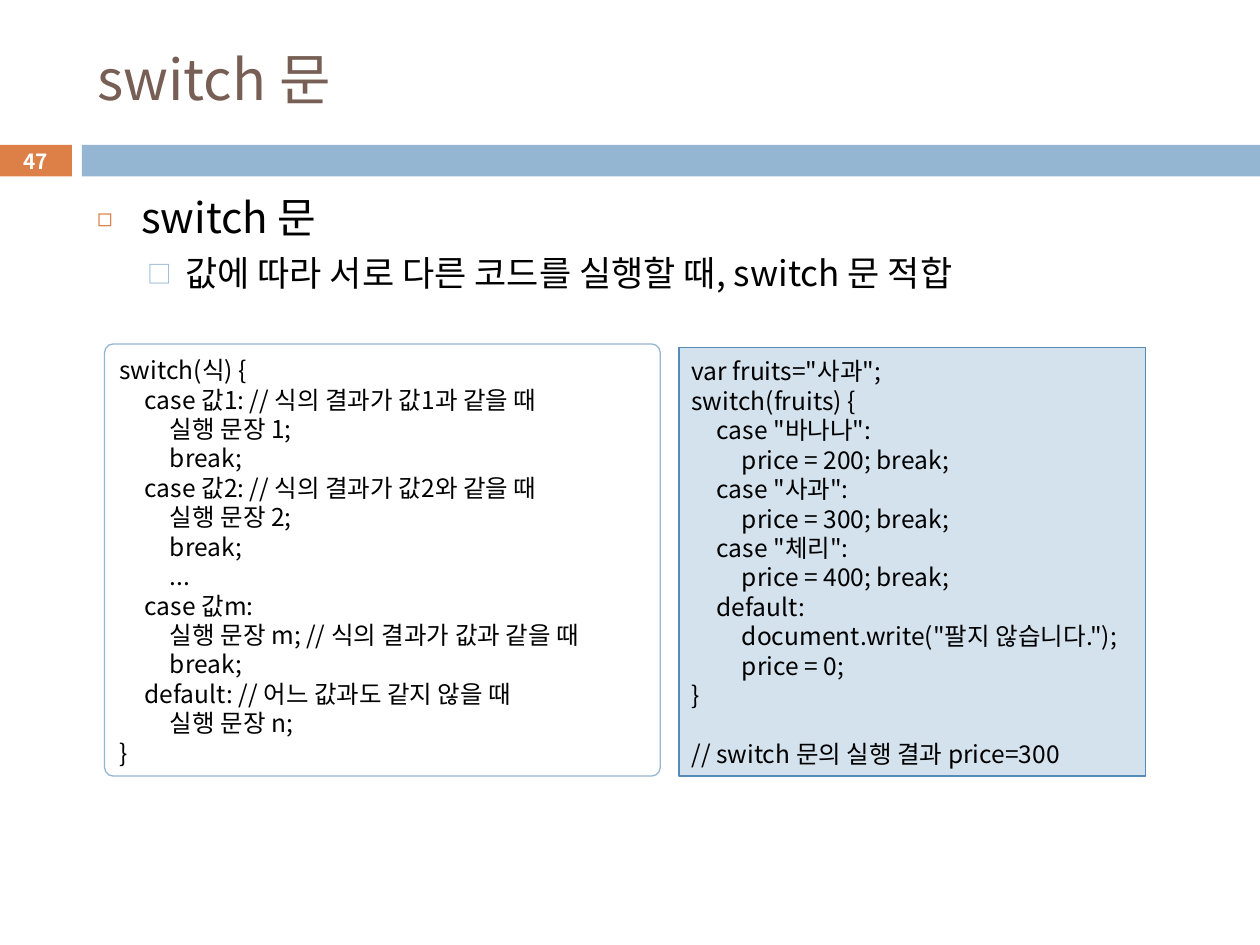
from lxml.etree import SubElement
from pptx import Presentation
from pptx.dml.color import RGBColor
from pptx.enum.shapes import MSO_SHAPE as Shape
from pptx.enum.text import MSO_ANCHOR as Anchor, MSO_AUTO_SIZE as AutoSize, PP_ALIGN as Align
from pptx.oxml.ns import qn
from pptx.util import Pt

FONT = "Noto Sans CJK KR"
BLACK = RGBColor(0x00, 0x00, 0x00)
WHITE = RGBColor(0xFF, 0xFF, 0xFF)
BROWN = RGBColor(0x77, 0x5F, 0x55)
ORANGE = RGBColor(0xDD, 0x80, 0x47)
BLUE = RGBColor(0x94, 0xB6, 0xD2)
PALE_BLUE = RGBColor(0xD4, 0xE2, 0xED)
DARK_BLUE = RGBColor(0x55, 0x8B, 0xB8)

LINE_HEIGHT = 1.2  # line pitch relative to the text size
TAB = 14.4

# Boxes: left, top, width, height in points
TITLE_BOX = (48.24, 18, 642.24, 53.28)
NUMBER_BOX = (-0.72, 82.8, 41.76, 18)
BAND_BOX = (46.8, 82.8, 673.2, 18)
BODY_BOX = (48.24, 105.84, 642.24, 396.72)
SYNTAX_BOX = (59.76, 196.56, 317.52, 246.96)
EXAMPLE_BOX = (388.08, 198.72, 266.4, 244.8)

# Body items: text, size, indent, hanging, space before, bullet, colour, percent
BODY_ITEMS = [
    ("switch 문", 24, 25.2, 25.2, 7, "◻", ORANGE, 60),
    ("값에 따라 서로 다른 코드를 실행할 때, switch 문 적합", 20, 50.4, 21.6, 5.5, "□", BLUE, 70),
]

SYNTAX_CODE = """switch(식) {
\tcase 값1: // 식의 결과가 값1과 같을 때
\t\t실행 문장 1;
\t\tbreak;
\tcase 값2: // 식의 결과가 값2와 같을 때
\t\t실행 문장 2;
\t\tbreak;
\t\t...
\tcase 값m:
\t\t실행 문장 m; // 식의 결과가 값과 같을 때
\t\tbreak;
\tdefault: // 어느 값과도 같지 않을 때
\t\t실행 문장 n;
}"""

EXAMPLE_CODE = """var fruits="사과";
switch(fruits) {
\tcase "바나나":
\t\tprice = 200; break;
\tcase "사과":
\t\tprice = 300; break;
\tcase "체리":
\t\tprice = 400; break;
\tdefault:
\t\tdocument.write("팔지 않습니다.");
\t\tprice = 0;
}
// switch 문의 실행 결과 price=300"""


def place(part, box):
    part.left, part.top, part.width, part.height = map(Pt, box)


def set_font(paragraph, size, color, bold=False):
    font = paragraph.font
    font.name, font.size, font.bold = FONT, Pt(size), bold
    font.color.rgb = color
    # Korean glyphs take the East Asian typeface
    SubElement(paragraph._p.pPr.find(qn("a:defRPr")), qn("a:ea"), typeface=FONT)


def set_bullet(paragraph, char, color, percent, indent, hanging):
    props = paragraph._p.get_or_add_pPr()
    props.set("marL", str(Pt(indent)))
    props.set("indent", str(-Pt(hanging)))
    bullet_color = SubElement(props, qn("a:buClr"))
    SubElement(bullet_color, qn("a:srgbClr"), val=str(color))
    SubElement(props, qn("a:buSzPct"), val=str(percent * 1000))
    SubElement(props, qn("a:buFont"), typeface=FONT)
    SubElement(props, qn("a:buChar"), char=char)


def set_tabs(paragraph):
    tabs = SubElement(paragraph._p.get_or_add_pPr(), qn("a:tabLst"))
    for stop in (1, 2):
        SubElement(tabs, qn("a:tab"), pos=str(Pt(TAB * stop)), algn="l")


def add_panel(slide, box, kind, fill=None, line=None):
    panel = slide.shapes.add_shape(kind, *map(Pt, box))
    panel.shadow.inherit = False
    if fill is None:
        panel.fill.background()
    else:
        panel.fill.solid()
        panel.fill.fore_color.rgb = fill
    if line is None:
        panel.line.fill.background()
    else:
        panel.line.color.rgb = line
        panel.line.width = Pt(0.75)
    return panel


def add_title(slide, box):
    title = slide.shapes.title
    place(title, box)
    frame = title.text_frame
    frame.text = "switch 문"
    frame.auto_size = AutoSize.NONE
    frame.vertical_anchor = Anchor.MIDDLE
    heading = frame.paragraphs[0]
    heading.alignment = Align.LEFT
    set_font(heading, 32, BROWN)


def add_page_number(slide, box):
    add_panel(slide, box, Shape.RECTANGLE, ORANGE)
    number = slide.shapes.add_textbox(*map(Pt, box)).text_frame
    number.text = "47"
    number.word_wrap = True
    number.vertical_anchor = Anchor.MIDDLE
    number.margin_top = number.margin_bottom = 0
    number.paragraphs[0].alignment = Align.CENTER
    set_font(number.paragraphs[0], 11.9, WHITE, bold=True)


def add_body(slide, box):
    body = slide.placeholders[1]
    place(body, box)
    frame = body.text_frame
    frame.text = "\n".join(item[0] for item in BODY_ITEMS)
    frame.auto_size = AutoSize.NONE
    for level, (paragraph, item) in enumerate(zip(frame.paragraphs, BODY_ITEMS)):
        _, size, indent, hanging, before, char, color, percent = item
        paragraph.level = level
        paragraph.line_spacing = Pt(size * LINE_HEIGHT)
        paragraph.space_before = Pt(before)
        set_bullet(paragraph, char, color, percent, indent, hanging)
        set_font(paragraph, size, BLACK)


def add_code(slide, box, code, kind, fill, line, size=14):
    panel = add_panel(slide, box, kind, fill, line)
    frame = panel.text_frame
    frame.text = code
    frame.word_wrap = True
    frame.vertical_anchor = Anchor.TOP
    frame.margin_top = Pt(5)
    frame.margin_right = Pt(2)
    for paragraph in frame.paragraphs:
        paragraph.alignment = Align.LEFT
        paragraph.line_spacing = Pt(size * LINE_HEIGHT)
        # A closing comment stands one line below the code
        if paragraph.text.startswith("//"):
            paragraph.space_before = Pt(size * LINE_HEIGHT)
        set_tabs(paragraph)
        set_font(paragraph, size, BLACK)
    return panel


def main():
    deck = Presentation()
    deck.slide_width, deck.slide_height = Pt(720), Pt(540)
    slide = deck.slides.add_slide(deck.slide_layouts[1])

    # Heading and band
    add_title(slide, TITLE_BOX)
    add_panel(slide, BAND_BOX, Shape.RECTANGLE, BLUE)
    add_page_number(slide, NUMBER_BOX)

    # Explanation and the two code panels
    add_body(slide, BODY_BOX)
    syntax = add_code(slide, SYNTAX_BOX, SYNTAX_CODE, Shape.ROUNDED_RECTANGLE, None, BLUE)
    syntax.adjustments[0] = 0.02
    add_code(slide, EXAMPLE_BOX, EXAMPLE_CODE, Shape.RECTANGLE, PALE_BLUE, DARK_BLUE)

    deck.save("out.pptx")


if __name__ == "__main__":
    main()
